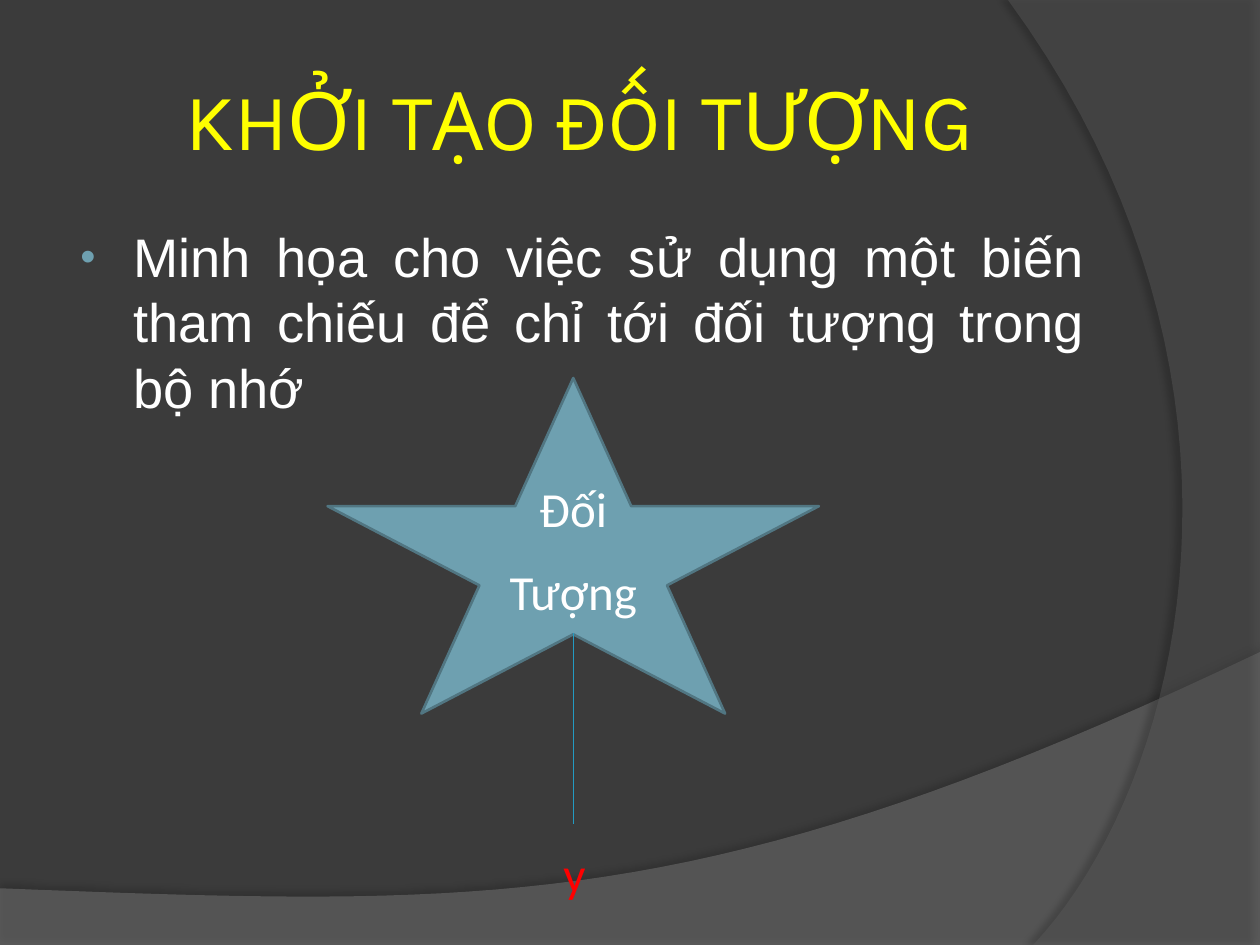
from dataclasses import dataclass
from lxml.etree import SubElement
from pptx import Presentation
from pptx.dml.color import RGBColor
from pptx.enum.shapes import MSO_CONNECTOR, MSO_SHAPE
from pptx.enum.text import MSO_ANCHOR, PP_ALIGN
from pptx.oxml.ns import qn
from pptx.util import Inches, Pt


@dataclass(frozen=True)
class Theme:
    """Colours, fonts and type sizes of the slide."""
    back: str = "3B3B3B"
    wave: str = "7F7F7F"
    side: str = "5E5E5E"
    shade: str = "000000"
    title: str = "FFFF00"
    text: str = "FFFFFF"
    star: str = "6EA0B0"
    edge: str = "517682"
    link: str = "239BC2"
    name: str = "FF0000"
    head: str = "Karla"
    body: str = "Arial"
    label: str = "Calibri"
    big: int = 46
    mid: int = 31
    small: int = 28


@dataclass(frozen=True)
class Box:
    """A rectangle in inches that yields inner boxes by shares of its size."""
    x: float
    y: float
    w: float
    h: float

    def point(self, x, y):
        """Return the point at the given shares."""
        return Inches(self.x + x * self.w), Inches(self.y + y * self.h)

    def inner(self, x, y, w, h):
        """Return the inner box at the given shares."""
        return Box(self.x + x * self.w, self.y + y * self.h, w * self.w, h * self.h)

    def rect(self):
        """Return left, top, width and height as lengths."""
        return [Inches(v) for v in (self.x, self.y, self.w, self.h)]


THEME = Theme()


def tint(code):
    """Turn a hex code into a colour."""
    return RGBColor.from_string(code)


def add(parent, tag, **attrs):
    """Append a DrawingML element with attributes."""
    return SubElement(parent, qn(tag), {k: str(v) for k, v in attrs.items()})


def write(frame, text, *, font, size, color, align=PP_ALIGN.LEFT, anchor=MSO_ANCHOR.TOP,
          inset=0, wrap=True, lead=1.0, gap=0, mark=None):
    """Fill a text frame, one paragraph for each line of text."""
    frame.word_wrap, frame.vertical_anchor = wrap, anchor
    frame.margin_left = frame.margin_right = Inches(inset)
    frame.margin_top = frame.margin_bottom = Inches(min(inset, 0.05))
    frame.text = text
    for para in frame.paragraphs:
        para.alignment, para.line_spacing = align, lead
        para.space_before, para.space_after = Pt(0), Pt(gap)
        if mark:
            props = para._p.get_or_add_pPr()
            props.set("marL", str(Inches(0.46)))
            props.set("indent", str(Inches(-0.42)))
            add(add(props, "a:buClr"), "a:srgbClr", val=mark)
            add(props, "a:buSzPct", val=80000)
            add(props, "a:buFont", typeface=font)
            add(props, "a:buChar", char="•")
        for run in para.runs:
            run.font.name, run.font.size = font, Pt(size)
            run.font.color.rgb = tint(color)


def label(slide, box, text, **form):
    """Add a text box."""
    write(slide.shapes.add_textbox(*box.rect()).text_frame, text, **form)


def curve(knots, steps=40):
    """Sample a cubic curve through four control points."""
    for i in range(1, steps + 1):
        t = i / steps
        mix = (1 - t) ** 3, 3 * t * (1 - t) ** 2, 3 * t * t * (1 - t), t ** 3
        yield tuple(sum(m * k[n] for m, k in zip(mix, knots)) for n in (0, 1))


def sweep(slide, box, corners, knots, *, color, alpha, shade, dist, angle):
    """Draw a translucent shape of straight corners closed by a curve."""
    pts = [box.point(*p) for p in [*corners, *curve(knots)]]
    pen = slide.shapes.build_freeform(*pts[0])
    pen.add_line_segments(pts[1:], close=True)
    shape = pen.convert_to_shape()
    shape.fill.solid()
    shape.fill.fore_color.rgb = tint(color)
    shape.line.fill.background()
    props = shape._element.spPr
    add(props.find(".//" + qn("a:srgbClr")), "a:alpha", val=alpha * 1000)
    cast = add(add(props, "a:effectLst"), "a:outerShdw", blurRad=Pt(4), dist=Pt(dist),
               dir=angle * 60000, algn="ctr", rotWithShape=0)
    add(add(cast, "a:srgbClr", val=THEME.shade), "a:alpha", val=shade * 1000)


def backdrop(slide, box):
    """Paint the background and its two sweeping shapes."""
    slide.background.fill.solid()
    slide.background.fill.fore_color.rgb = tint(THEME.back)
    sweep(slide, box, [(0, 0.94), (0, 1), (1, 1), (1, 0.69)],
          [(1, 0.69), (0.56, 0.97), (0.39, 0.96), (0, 0.94)],
          color=THEME.wave, alpha=45, shade=35, dist=3.5, angle=270)
    sweep(slide, box, [(1, 0), (1, 1), (0.82, 1)],
          [(0.82, 1), (0.94, 0.83), (1.02, 0.4), (0.8, 0)],
          color=THEME.side, alpha=40, shade=45, dist=4, angle=180)


def heading(slide, box):
    """Place the title."""
    title = slide.shapes.title
    title.left, title.top, title.width, title.height = box.rect()
    write(title.text_frame, "KHỞI TẠO ĐỐI TƯỢNG", font=THEME.head, size=THEME.big,
          color=THEME.title, align=PP_ALIGN.CENTER, anchor=MSO_ANCHOR.MIDDLE, inset=0.05)


def content(slide, box):
    """Place the bulleted statement."""
    label(slide, box,
          "Minh họa cho việc sử dụng một biến tham chiếu để chỉ tới đối tượng trong bộ nhớ",
          font=THEME.body, size=THEME.mid, color=THEME.text, align=PP_ALIGN.JUSTIFY,
          inset=0.1, mark=THEME.star)


def diagram(slide, box):
    """Draw the object star and the variable that refers to it."""
    star = slide.shapes.add_shape(MSO_SHAPE.STAR_5_POINT, *box.inner(0, 0, 1, 0.67).rect())
    star.shadow.inherit = False
    star.fill.solid()
    star.fill.fore_color.rgb = tint(THEME.star)
    star.line.color.rgb, star.line.width = tint(THEME.edge), Pt(1.5)
    link = slide.shapes.add_connector(MSO_CONNECTOR.STRAIGHT,
                                      *box.point(0.5, 0.51), *box.point(0.5, 0.89))
    link.line.color.rgb, link.line.width = tint(THEME.link), Pt(0.75)
    add(link._element.spPr, "a:effectLst")
    form = dict(font=THEME.label, size=THEME.small, wrap=False, gap=10)
    label(slide, box.inner(0.36, 0.19, 0.28, 0.17), "Đối\nTượng", color=THEME.text,
          align=PP_ALIGN.CENTER, lead=1.1, **form)
    label(slide, box.inner(0.48, 0.93, 0.04, 0.07), "y", color=THEME.name, **form)


def main():
    """Build and save the slide."""
    deck = Presentation()
    page = Box(0, 0, 10, 7.5)
    deck.slide_width, deck.slide_height = page.rect()[2:]
    slide = deck.slides.add_slide(deck.slide_layouts[5])
    backdrop(slide, page)
    heading(slide, page.inner(0.05, 0.04, 0.82, 0.17))
    content(slide, page.inner(0.05, 0.23, 0.82, 0.66))
    diagram(slide, page.inner(0.26, 0.4, 0.39, 0.53))
    deck.save("out.pptx")


if __name__ == "__main__":
    main()
